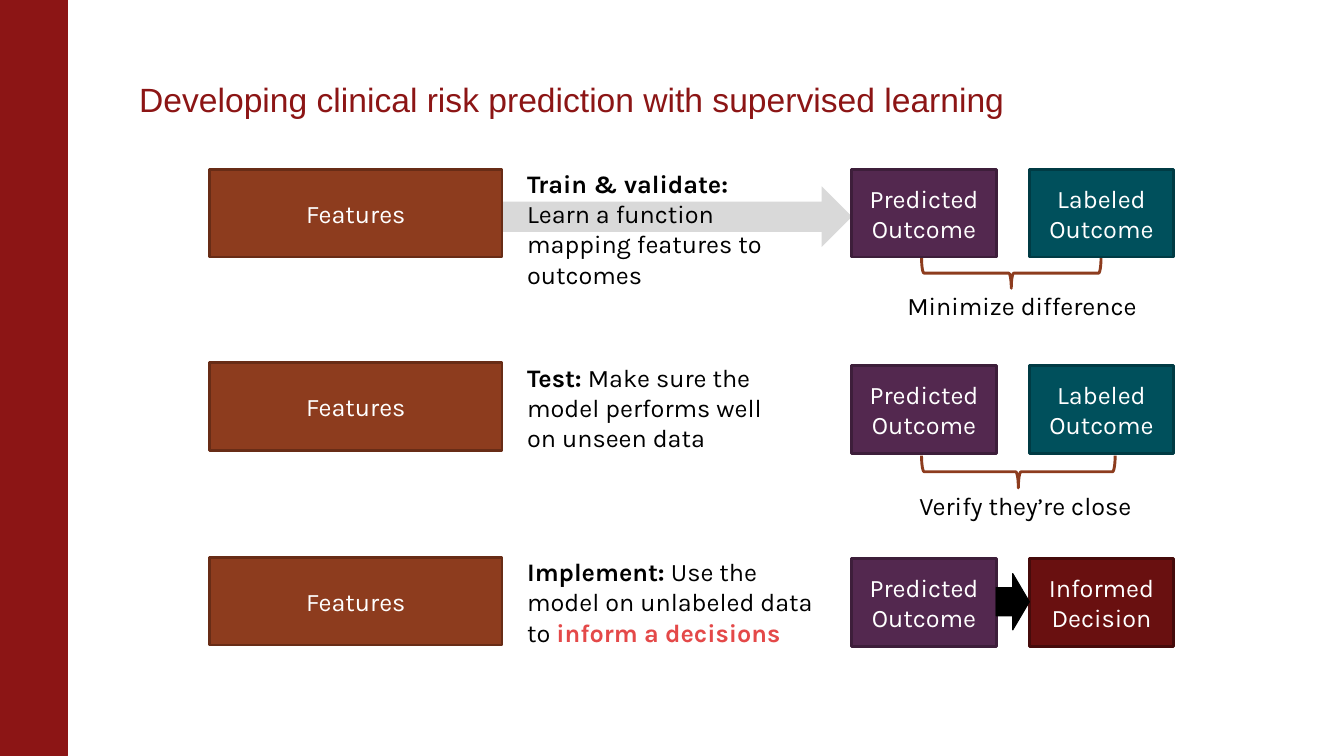
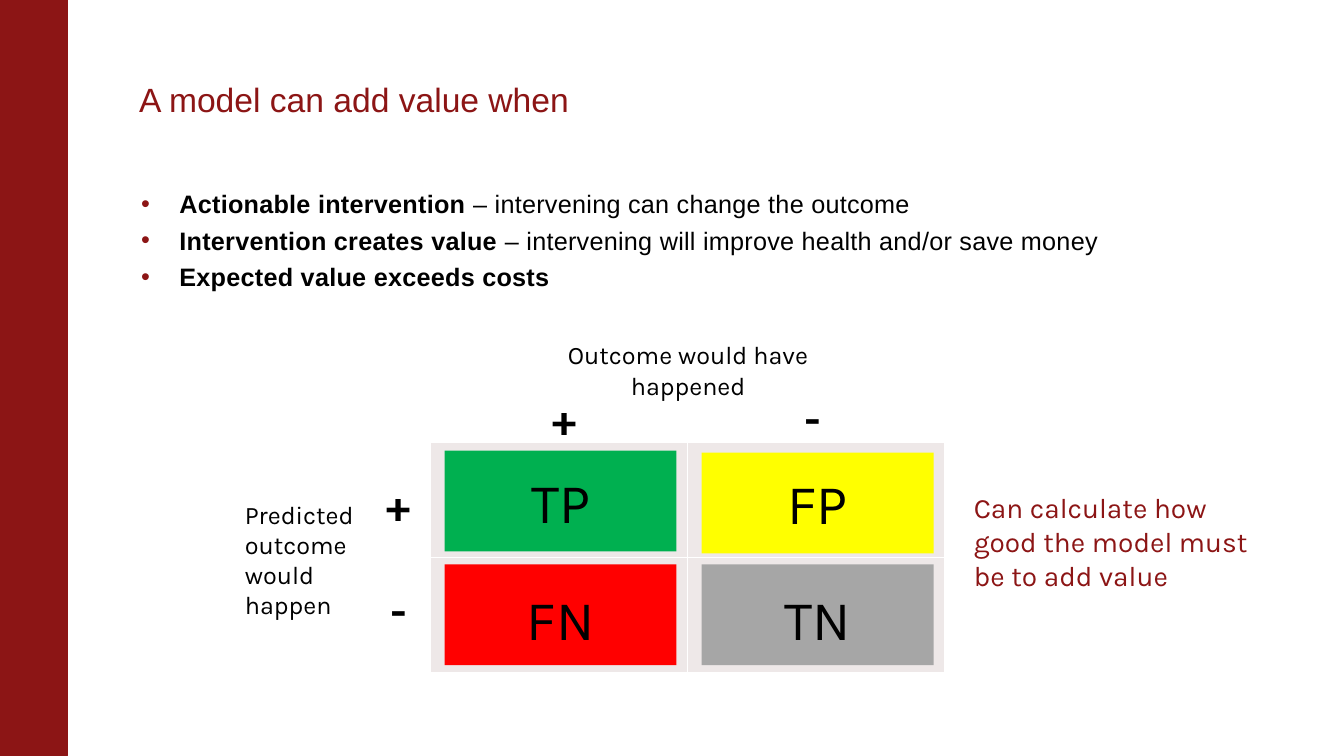
from lxml.etree import SubElement as Sub
from pptx import Presentation
from pptx.dml.color import RGBColor as RGB
from pptx.enum.shapes import MSO_SHAPE as Kind
from pptx.enum.text import MSO_ANCHOR as Anchor, MSO_AUTO_SIZE as Fit, PP_ALIGN as Align
from pptx.oxml.ns import qn
from pptx.util import Pt

PX = 9144  # EMU in one px, 100 px to the inch

WHITE, BLACK = RGB(255, 255, 255), RGB(0, 0, 0)
CRIMSON = RGB(0x8C, 0x15, 0x15)
RUST, RUST_EDGE = RGB(0x8D, 0x3C, 0x1E), RGB(0x68, 0x2C, 0x16)
PLUM, PLUM_EDGE = RGB(0x53, 0x28, 0x4F), RGB(0x3D, 0x1E, 0x3A)
TEAL, TEAL_EDGE = RGB(0x00, 0x50, 0x5C), RGB(0x00, 0x3B, 0x44)
WINE, WINE_EDGE = RGB(0x69, 0x10, 0x10), RGB(0x46, 0x0B, 0x0B)
CORAL = RGB(0xE4, 0x49, 0x49)
SILVER, MIST = RGB(0xD9, 0xD9, 0xD9), RGB(0xEE, 0xE8, 0xE8)
GREEN, YELLOW = RGB(0x00, 0xB0, 0x50), RGB(0xFF, 0xFF, 0x00)
RED, GRAY = RGB(0xFF, 0x00, 0x00), RGB(0xA6, 0xA6, 0xA6)

HEAD, BODY = "Arial", "Karla"
EDGE = 2.08


def emu(*box):
    return [n * PX for n in box]


def write(shape, *paras, size=18, color=BLACK, font=BODY, bold=False,
          align=Align.LEFT, anchor=Anchor.TOP, pad=(10, 5, 10, 5), gap=0, lead=None):
    """Fill a shape with paragraphs: each a string or a list of (text, format)."""
    frame = shape.text_frame
    frame.word_wrap = True
    frame.auto_size = Fit.NONE
    frame.vertical_anchor = anchor
    (frame.margin_left, frame.margin_top,
     frame.margin_right, frame.margin_bottom) = emu(*pad)
    for i, parts in enumerate(paras):
        para = frame.add_paragraph() if i else frame.paragraphs[0]
        para.alignment = align
        if lead:
            para.line_spacing = lead
        if gap and i:
            para.space_before = Pt(gap)
        for text, style in ([(parts, {})] if isinstance(parts, str) else parts):
            run = para.add_run()
            run.text = text
            run.font.name = font
            run.font.size = Pt(size)
            run.font.bold = style.get("bold", bold)
            run.font.color.rgb = style.get("color", color)
    return shape


def label(slide, box, *paras, **style):
    return write(slide.shapes.add_textbox(*emu(*box)), *paras, **style)


def draw(slide, kind, box, fill=None, edge=None, width=EDGE):
    shape = slide.shapes.add_shape(kind, *emu(*box))
    shape.shadow.inherit = False
    if fill is None:
        shape.fill.background()
    else:
        shape.fill.solid()
        shape.fill.fore_color.rgb = fill
    if edge is None:
        shape.line.fill.background()
    else:
        shape.line.color.rgb = edge
        shape.line.width = Pt(width)
    return shape


def block(slide, box, text, fill, edge=None, color=WHITE, **style):
    shape = draw(slide, Kind.RECTANGLE, box, fill, edge)
    return write(shape, text, color=color, align=Align.CENTER,
                 anchor=Anchor.MIDDLE, **style)


def brace(slide, left, top, wide, high):
    """Brace that lies flat in the given box and points down."""
    shift = (wide - high) // 2
    shape = draw(slide, Kind.LEFT_BRACE, (left + shift, top - shift, high, wide),
                 edge=RUST)
    shape.rotation = 270


def start(deck, title):
    slide = deck.slides.add_slide(deck.slide_layouts[5])
    head = slide.shapes.title
    head.left, head.top, head.width, head.height = emu(138, 52, 1124, 71)
    write(head, title, size=24, color=CRIMSON, font=HEAD, anchor=Anchor.BOTTOM,
          pad=(0, 5, 10, 5), lead=0.85)
    return slide


def band(deck, slide):
    """Side band, moved to the master so that every slide shows it."""
    bar = draw(slide, Kind.RECTANGLE, (0, 0, 67, 750), CRIMSON, CRIMSON, 0.75).element
    bar.nvSpPr.cNvPr.set("id", "99")
    deck.slide_master.shapes.element.insert(2, bar)


def stage(slide, top, drop, note, wide, last):
    """One row: features, note and two outcome blocks set lower by drop."""
    block(slide, (208, top, 290, 87), "Features", RUST, RUST_EDGE)
    label(slide, (513, top - 6, wide, 101), note)
    block(slide, (845, top + drop, 143, 87), "Predicted Outcome", PLUM, PLUM_EDGE)
    block(slide, (1021, top + drop, 143, 87), *last)


def method(deck):
    slide = start(deck, "Developing clinical risk prediction with supervised learning")
    band(deck, slide)
    bold = {"bold": True}
    known = ("Labeled Outcome", TEAL, TEAL_EDGE)
    chosen = ("Informed Decision", WINE, WINE_EDGE)
    draw(slide, Kind.RIGHT_ARROW, (498, 185, 347, 60), SILVER)
    rows = [
        (168, 0, [("Train & validate:", bold),
                  (" Learn a function mapping features to outcomes", {})], 285, known),
        (360, 3, [("Test:", bold),
                  (" Make sure the model performs well on unseen data", {})], 285, known),
        (553, 1, [("Implement:", bold), (" Use the model on unlabeled data to ", {}),
                  ("inform a decisions", {"bold": True, "color": CORAL})], 325, chosen),
    ]
    for row in rows:
        stage(slide, *row)
    # Comparisons below the outcomes
    brace(slide, 914, 256, 178, 30)
    label(slide, (890, 283, 261, 40), "Minimize difference")
    brace(slide, 914, 452, 192, 32)
    label(slide, (902, 482, 261, 40), "Verify they’re close")
    draw(slide, Kind.RIGHT_ARROW, (988, 569, 33, 56), BLACK, BLACK, 0.75)


def points(slide, box, *paras):
    """Bulleted list with crimson dots."""
    shape = label(slide, box, *paras, font=HEAD, pad=(0, 5, 0, 5), gap=4.6)
    for para in shape.element.iter(qn("a:p")):
        props = para.get_or_add_pPr()
        props.set("marL", str(38 * PX))
        props.set("indent", str(-38 * PX))
        tint = Sub(props, qn("a:buClr"))
        Sub(tint, qn("a:srgbClr"), val=str(CRIMSON))
        Sub(props, qn("a:buFont"), typeface=HEAD)
        Sub(props, qn("a:buChar"), char="•")
    for props in shape.element.iter(qn("a:rPr")):
        props.set("spc", "20")


def rule(cell):
    """White border on all four sides; it must stand before the fill."""
    props = cell.get_or_add_tcPr()
    for i, side in enumerate(("lnL", "lnR", "lnT", "lnB")):
        line = Sub(props, qn("a:" + side), w=str(Pt(1)))
        fill = Sub(line, qn("a:solidFill"))
        Sub(fill, qn("a:srgbClr"), val=str(WHITE))
        props.insert(i, line)


def matrix(slide, left, top, wide, high):
    """Table of four cells, each with a coloured block, and its signs."""
    table = slide.shapes.add_table(2, 2, *emu(left, top, wide, high)).table
    table.first_row = table.horz_banding = False
    for cell in table.iter_cells():
        cell.fill.solid()
        cell.fill.fore_color.rgb = MIST
    for cell in table._tbl.iter(qn("a:tc")):
        rule(cell)
    cells = [("TP", GREEN, 0, 8, 5), ("FP", YELLOW, 1, 10, 3),
             ("FN", RED, 0, 121, 12), ("TN", GRAY, 1, 121, 12)]
    for text, fill, col, down, inset in cells:
        block(slide, (left + 14 + 255 * col, top + down, 230, 100), text, fill,
              color=BLACK, size=40, pad=(10, inset, 10, 5))
    # Signs above the columns and beside the rows
    sign = dict(size=32, bold=True, align=Align.CENTER)
    for col, text in enumerate("+-"):
        label(slide, (left + 100 + 246 * col, top - 56, 66, 64), text, **sign)
    label(slide, (left - 64, top + 29, 65, 172), "+", "-", gap=37.5, **sign)


def value(deck):
    slide = start(deck, "A model can add value when")
    bold = {"bold": True}
    points(slide, (140, 182, 1123, 172),
           [("Actionable intervention ", bold),
            ("– intervening can change the outcome", {})],
           [("Intervention creates value ", bold),
            ("– intervening will improve health and/or save money", {})],
           [("Expected value exceeds costs", bold)])
    matrix(slide, 427, 439, 510, 228)
    # Axis names and the remark
    label(slide, (233, 490, 143, 131), "Predicted outcome would happen")
    label(slide, (532, 332, 301, 71), "Outcome would have happened", align=Align.CENTER)
    label(slide, (956, 482, 306, 111),
          "Can calculate how good the model must be to add value",
          size=20, color=CRIMSON)


def main():
    deck = Presentation()
    deck.slide_width, deck.slide_height = emu(1333, 750)
    method(deck)
    value(deck)
    deck.save("out.pptx")


if __name__ == "__main__":
    main()
